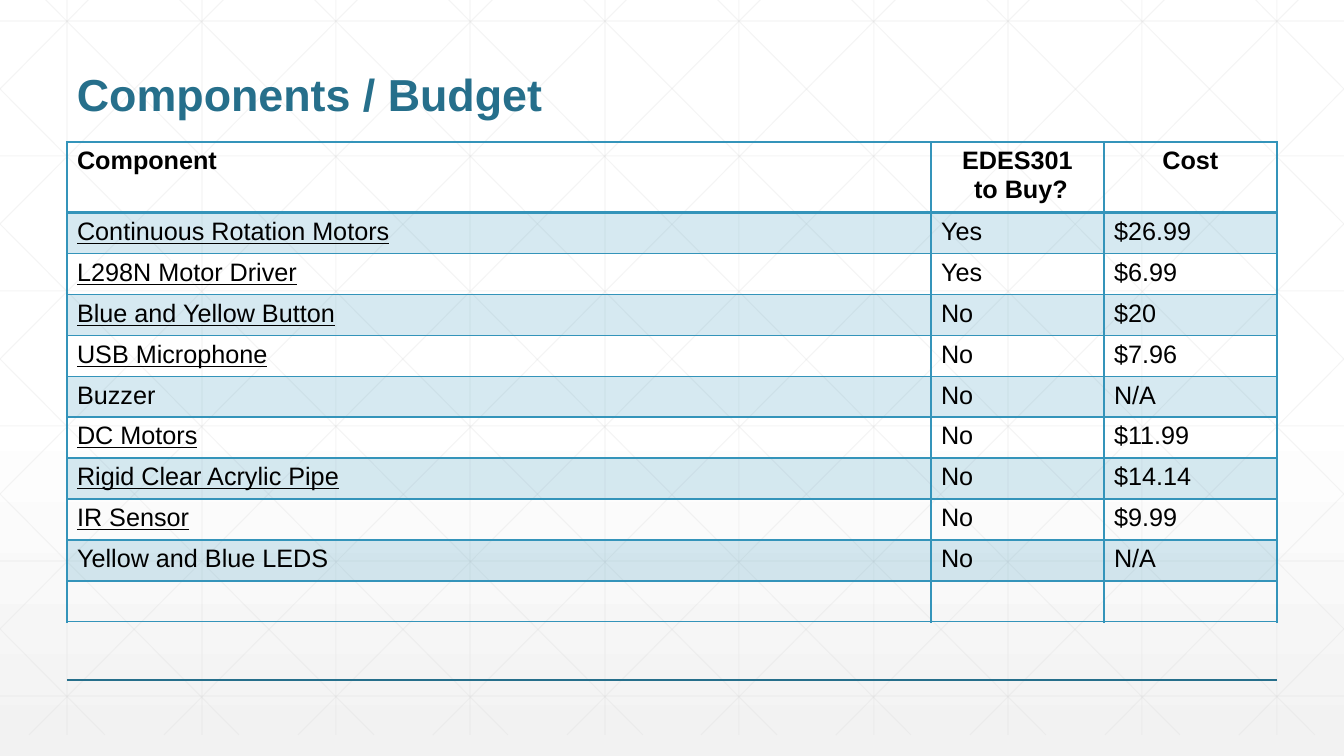
from lxml.etree import SubElement
from pptx import Presentation
from pptx.dml.color import RGBColor
from pptx.enum.shapes import MSO_CONNECTOR as Connector
from pptx.enum.text import MSO_ANCHOR as Anchor, PP_ALIGN as Align
from pptx.oxml.ns import qn
from pptx.util import Emu, Pt

WIDTH, HEIGHT = 1344, 756
EMU_PER_PX = 12192000 / WIDTH
GRID_TOP, GRID_BOTTOM = -21, 735
GRID_STEP = WIDTH / 10
DIAGONAL_RUN = 752
TEAL, BLUE, BLACK, GRID_GREY = "266F8B", "3494BA", "000000", "D8D8D8"

COLUMN_WIDTHS = [864, 173, 173]
HEADER_HEIGHT, ROW_HEIGHT, BUZZER_HEIGHT = 66, 41, 39
HEADINGS = ["Component", "EDES301\n to Buy?", "Cost"]
COMPONENTS = [
    ("Continuous Rotation Motors", "Yes", "$26.99"),
    ("L298N Motor Driver", "Yes", "$6.99"),
    ("Blue and Yellow Button", "No", "$20"),
    ("USB Microphone", "No", "$7.96"),
    ("Buzzer", "No", "N/A"),
    ("DC Motors", "No", "$11.99"),
    ("Rigid Clear Acrylic Pipe", "No", "$14.14"),
    ("IR Sensor", "No", "$9.99"),
    ("Yellow and Blue LEDS", "No", "N/A"),
    ("", "", ""),
]
NOT_UNDERLINED = {"Buzzer", "Yellow and Blue LEDS"}


def px(length):
    return Emu(round(length * EMU_PER_PX))


def rgb(code):
    return RGBColor.from_string(code)


def set_opacity(element, percent):
    for color in element.iter(qn("a:srgbClr")):
        SubElement(color, qn("a:alpha"), val=str(percent * 1000))


class Deck:
    font_name = "Arial"

    def __init__(self):
        self.presentation = Presentation()
        self.presentation.slide_width = px(WIDTH)
        self.presentation.slide_height = px(HEIGHT)
        self.slide = self.presentation.slides.add_slide(self.presentation.slide_layouts[6])

    def background(self, top, bottom, start):
        fill = self.slide.background.fill
        fill.gradient()
        fill.gradient_angle = 270
        for stop, color, position in zip(fill.gradient_stops, (top, bottom), (start, 1)):
            stop.color.rgb = rgb(color)
            stop.position = position

    def line(self, x1, y1, x2, y2, color, weight, opacity=100):
        ends = [px(round(value)) for value in (x1, y1, x2, y2)]
        connector = self.slide.shapes.add_connector(Connector.STRAIGHT, *ends)
        connector.line.color.rgb = rgb(color)
        connector.line.width = Pt(weight)
        if opacity < 100:
            set_opacity(connector.element, opacity)
        SubElement(connector.element.spPr, qn("a:effectLst"))

    def set_text(self, frame, text, color, align=Align.LEFT, spacing=1.0, **formats):
        frame.text = text
        for paragraph in frame.paragraphs:
            paragraph.alignment = align
            paragraph.line_spacing = spacing
            for run in paragraph.runs:
                run.font.color.rgb = rgb(color)
                for name, value in {"name": self.font_name, **formats}.items():
                    setattr(run.font, name, value)

    def title(self, text, x, y, width, height):
        frame = self.slide.shapes.add_textbox(px(x), px(y), px(width), px(height)).text_frame
        frame.word_wrap = True
        frame.vertical_anchor = Anchor.BOTTOM
        self.set_text(frame, text, TEAL, spacing=0.9, size=Pt(32), bold=True)

    def border(self, cell, weights):
        properties = cell._tc.get_or_add_tcPr()
        for index, (side, weight) in enumerate(weights.items()):
            edge = SubElement(properties, qn(f"a:ln{side}"), w=str(Pt(weight)))
            solid = SubElement(edge, qn("a:solidFill"))
            SubElement(solid, qn("a:srgbClr"), val=BLUE)
            properties.insert(index, edge)

    def table(self, x, y, headings, rows):
        heights = [HEADER_HEIGHT] + [
            BUZZER_HEIGHT if row[0] == "Buzzer" else ROW_HEIGHT for row in rows
        ]
        table = self.slide.shapes.add_table(
            len(heights), len(headings), px(x), px(y),
            px(sum(COLUMN_WIDTHS)), px(sum(heights)),
        ).table
        table.first_row = table.horz_banding = False
        for column, width in zip(table.columns, COLUMN_WIDTHS):
            column.width = px(width)
        for row, height in zip(table.rows, heights):
            row.height = px(height)
        for r, texts in enumerate([headings, *rows]):
            for c, text in enumerate(texts):
                cell = table.cell(r, c)
                header = r == 0
                self.set_text(
                    cell.text_frame, text, BLACK,
                    align=Align.CENTER if header and c else Align.LEFT,
                    size=Pt(18), bold=header,
                    underline=not header and c == 0 and text not in NOT_UNDERLINED,
                )
                if r % 2:
                    cell.fill.solid()
                    cell.fill.fore_color.rgb = rgb(BLUE)
                    set_opacity(cell._tc.tcPr, 20)
                else:
                    cell.fill.background()
                self.border(cell, {"L": 1, "R": 1, "T": 2 if r == 1 else 1, "B": 2 if header else 1})

    def grid(self):
        style = (GRID_GREY, 0.75, 25)
        for i in range(10):
            x = GRID_STEP * (i + 0.5)
            self.line(x, GRID_TOP, x, GRID_BOTTOM, *style)
        for i in range(6):
            y = 21 + 135 * i
            self.line(0, y, WIDTH, y, *style)
        drop = GRID_BOTTOM - GRID_TOP
        for i in range(-5, 10):
            start = 25 + GRID_STEP * i
            enter = max(0, -start / DIAGONAL_RUN)
            leave = min(1, (WIDTH - start) / DIAGONAL_RUN)
            x1, x2 = (start + DIAGONAL_RUN * t for t in (enter, leave))
            y1, y2 = (GRID_TOP + drop * t for t in (enter, leave))
            self.line(x1, y1, x2, y2, *style)
            self.line(WIDTH - x1, y1, WIDTH - x2, y2, *style)


def main():
    deck = Deck()
    deck.background("FFFFFF", "F2F2F2", 0.53)
    deck.grid()
    deck.line(67, 680, 1277, 680, TEAL, 1)
    deck.title("Components / Budget", 67, 25, 1210, 101)
    deck.table(67, 142, HEADINGS, COMPONENTS)
    deck.presentation.save("out.pptx")


if __name__ == "__main__":
    main()
